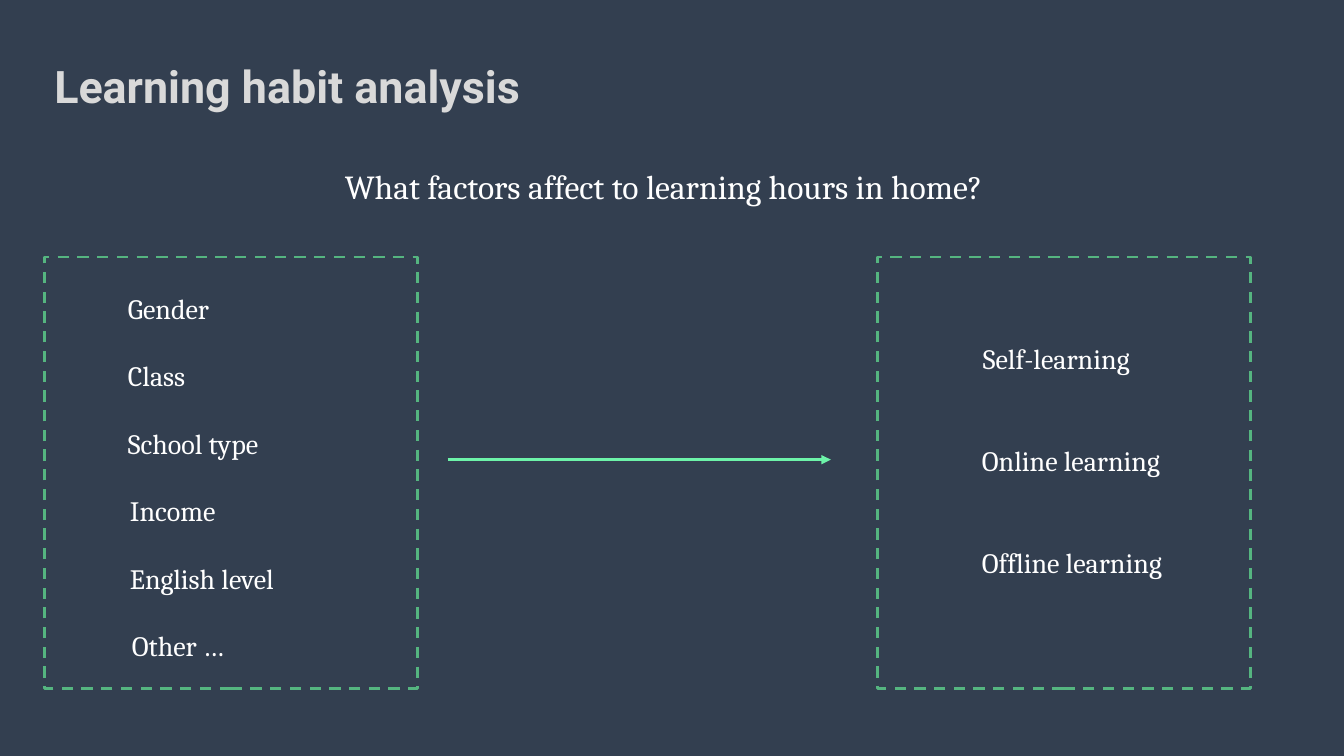
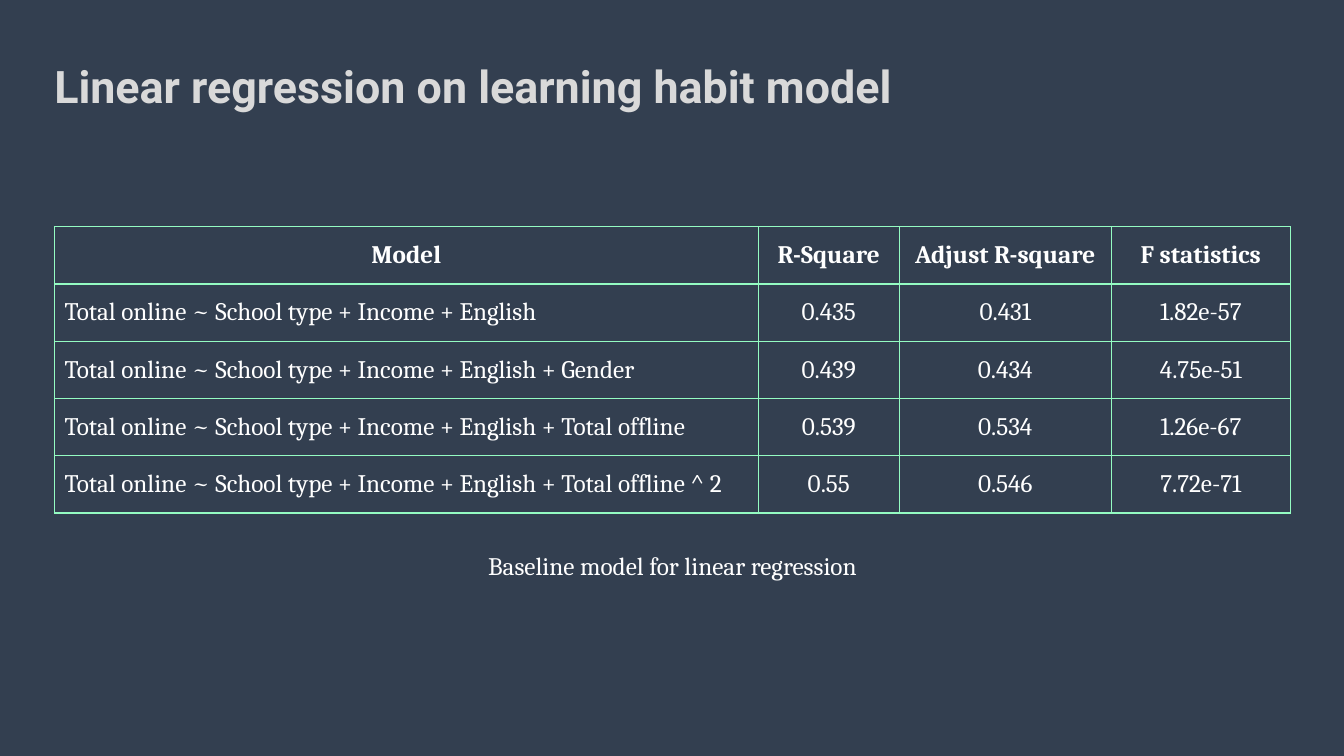
from dataclasses import dataclass

from pptx import Presentation
from pptx.dml.color import RGBColor
from pptx.enum.dml import MSO_LINE
from pptx.enum.shapes import MSO_CONNECTOR, MSO_SHAPE
from pptx.enum.text import MSO_ANCHOR, PP_ALIGN
from pptx.oxml.ns import qn
from pptx.slide import Slide
from pptx.table import _Cell as Cell
from pptx.text.text import TextFrame
from pptx.util import Inches, Pt
from lxml.etree import SubElement

# Shared look
SLATE = RGBColor(0x33, 0x3F, 0x50)
SILVER = RGBColor(0xD9, 0xD9, 0xD9)
WHITE = RGBColor(0xFF, 0xFF, 0xFF)
GREEN = RGBColor(0x55, 0xB5, 0x80)
BRIGHT_GREEN = RGBColor(0x6D, 0xF3, 0xA9)
PALE_GREEN = RGBColor(0x94, 0xFC, 0xC2)
MARGIN = 0.44
TABLE_LEFT, TABLE_WIDTH = 0.54, 12.26


@dataclass(frozen=True)
class Style:
    size: float
    font: str = "Cambria"
    color: RGBColor = WHITE
    bold: bool = False
    align: PP_ALIGN = PP_ALIGN.LEFT
    spacing: float = 1.0


@dataclass(frozen=True)
class Box:
    left: float
    top: float
    width: float
    height: float

    def lengths(self) -> tuple[int, ...]:
        return tuple(Inches(v) for v in (self.left, self.top, self.width, self.height))


@dataclass(frozen=True)
class Group:
    """A dashed frame around evenly stacked labels."""
    frame: Box
    first_label: Box
    labels: tuple[tuple[str, float], ...]  # wording, shift to the right


TITLE = Style(32, "Roboto", SILVER, bold=True, spacing=1.15)
QUESTION = Style(24, align=PP_ALIGN.CENTER)
LABEL = Style(20)
HEADER = Style(18, bold=True, align=PP_ALIGN.CENTER)
MODEL = Style(18)
VALUE = Style(18, align=PP_ALIGN.CENTER)


def write(frame: TextFrame, text: str, style: Style) -> None:
    paragraph = frame.paragraphs[0]
    paragraph.text = text
    paragraph.alignment = style.align
    paragraph.line_spacing = style.spacing
    font = paragraph.font
    font.name, font.size, font.bold = style.font, Pt(style.size), style.bold
    font.color.rgb = style.color


def add_text(slide: Slide, box: Box, text: str, style: Style) -> TextFrame:
    frame = slide.shapes.add_textbox(*box.lengths()).text_frame
    frame.word_wrap = True
    frame.vertical_anchor = MSO_ANCHOR.MIDDLE
    write(frame, text, style)
    return frame


def add_titled_slide(title: str) -> Slide:
    slide = deck.slides.add_slide(deck.slide_layouts[6])
    frame = add_text(slide, Box(MARGIN, 0.3, 12.03, 1.01), title, TITLE)
    frame.margin_top = frame.margin_bottom = Inches(0.1)
    return slide


def add_group(slide: Slide, group: Group) -> None:
    outline = slide.shapes.add_shape(MSO_SHAPE.RECTANGLE, *group.frame.lengths())
    outline.shadow.inherit = False
    outline.fill.background()
    outline.line.color.rgb = GREEN
    outline.line.width = Pt(2)
    outline.line.dash_style = MSO_LINE.DASH
    first = group.first_label
    for i, (text, shift) in enumerate(group.labels):
        box = Box(first.left + shift, first.top + i * first.height,
                  first.width, first.height)
        add_text(slide, box, text, LABEL)


def add_arrow(slide: Slide, start: float, end: float, y: float) -> None:
    arrow = slide.shapes.add_connector(
        MSO_CONNECTOR.STRAIGHT, Inches(start), Inches(y), Inches(end), Inches(y))
    arrow.line.color.rgb = BRIGHT_GREEN
    arrow.line.width = Pt(2.25)
    properties = arrow.element.spPr
    SubElement(properties.find(qn("a:ln")), qn("a:tailEnd"), type="triangle")
    SubElement(properties, qn("a:effectLst"))


def add_borders(cell: Cell) -> None:
    properties = cell._tc.get_or_add_tcPr()
    for i, side in enumerate(("a:lnL", "a:lnR", "a:lnT", "a:lnB")):
        line = properties.makeelement(qn(side), {"w": str(Pt(1))})
        fill = SubElement(line, qn("a:solidFill"))
        SubElement(fill, qn("a:srgbClr"), val=str(PALE_GREEN))
        properties.insert(i, line)  # borders come before the fill


def add_results(slide: Slide, box: Box, widths: tuple[float, ...],
                rows: tuple[tuple[str, ...], ...]) -> None:
    table = slide.shapes.add_table(len(rows), len(widths), *box.lengths()).table
    table.horz_banding = False
    for column, width in zip(table.columns, widths):
        column.width = Inches(width)
    for r, row in enumerate(rows):
        for c, text in enumerate(row):
            cell = table.cell(r, c)
            cell.fill.background()
            cell.vertical_anchor = MSO_ANCHOR.MIDDLE
            style = HEADER if r == 0 else MODEL if c == 0 else VALUE
            write(cell.text_frame, text, style)
            add_borders(cell)


deck = Presentation()
deck.slide_width, deck.slide_height = Inches(13.33), Inches(7.5)
backdrop = deck.slide_master.background.fill
backdrop.solid()
backdrop.fore_color.rgb = SLATE

# Slide 1: factors and learning hours
habits = add_titled_slide("Learning habit analysis")
add_text(habits, Box(2.92, 1.34, 7.32, 1.01),
         "What factors affect to learning hours in home?", QUESTION)
factors = Group(
    Box(MARGIN, 2.55, 3.7, 4.28), Box(1.17, 2.72, 2.71, 0.67),
    (("Gender", 0), ("Class", 0), ("School type", 0),
     ("Income", 0.02), ("English level", 0.02), ("Other …", 0.04)))
learning_hours = Group(
    Box(8.7, 2.55, 3.7, 4.28), Box(9.64, 3.05, 3.4, 1.01),
    (("Self-learning", 0.01), ("Online learning", 0), ("Offline learning", 0)))
for group in (factors, learning_hours):
    add_group(habits, group)
add_arrow(habits, 4.44, 8.24, 4.56)

# Slide 2: regression results
BASELINE = "Total online ~ School type + Income + English"
regression = add_titled_slide("Linear regression on learning habit model")
add_results(
    regression, Box(TABLE_LEFT, 2.25, TABLE_WIDTH, 2.84), (6.98, 1.4, 2.1, 1.78),
    (("Model", "R-Square", "Adjust R-square", "F statistics"),
     (BASELINE, "0.435", "0.431", "1.82e-57"),
     (f"{BASELINE} + Gender", "0.439", "0.434", "4.75e-51"),
     (f"{BASELINE} + Total offline", "0.539", "0.534", "1.26e-67"),
     (f"{BASELINE} + Total offline ^ 2", "0.55", "0.546", "7.72e-71")))
add_text(regression, Box(TABLE_LEFT, 5.19, TABLE_WIDTH, 0.83),
         "Baseline model for linear regression", VALUE)

deck.save("out.pptx")
